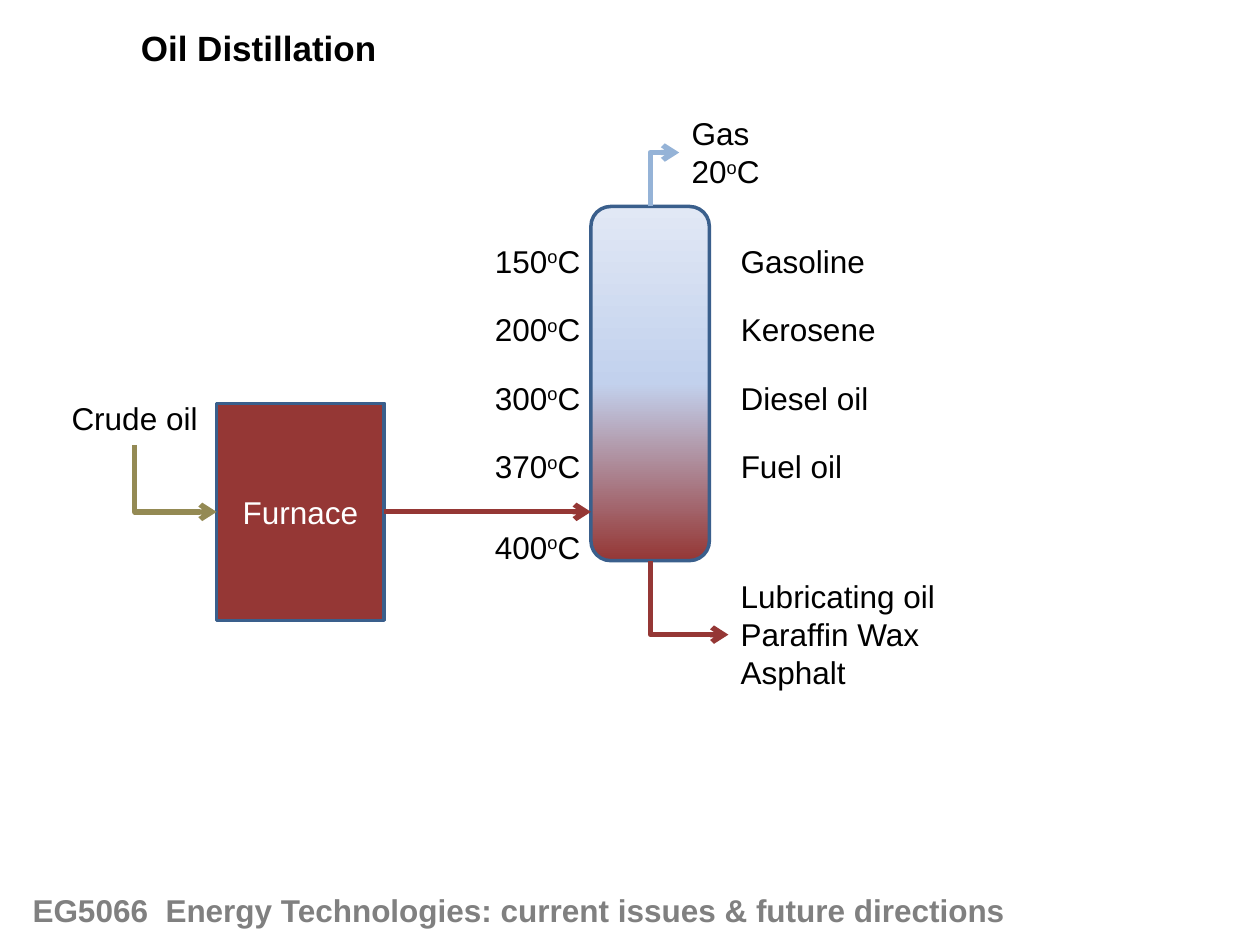
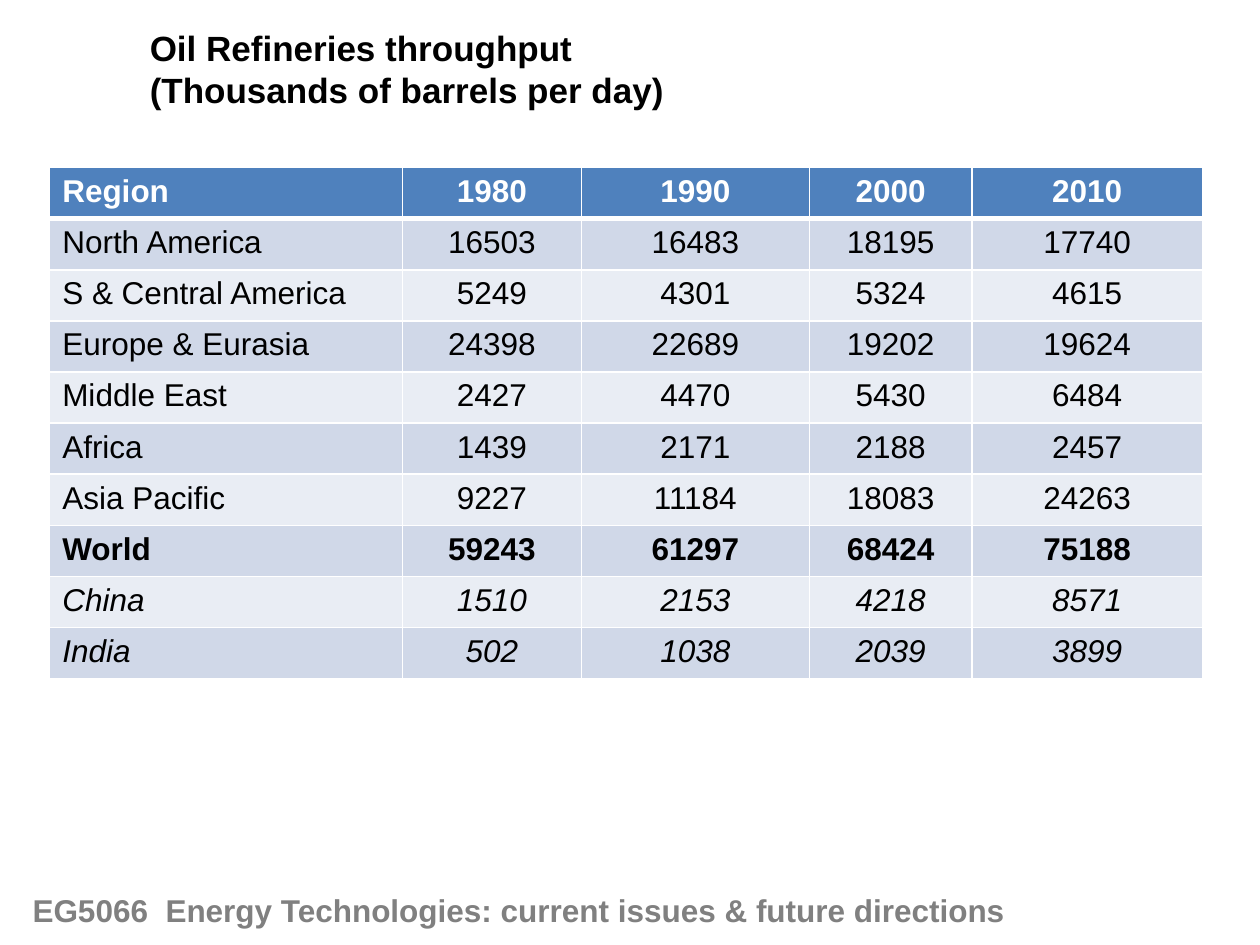
from collections import namedtuple
from copy import deepcopy

from lxml.etree import SubElement
from pptx import Presentation
from pptx.dml.color import RGBColor
from pptx.enum.shapes import MSO_CONNECTOR as Link, MSO_SHAPE as Preset
from pptx.enum.text import MSO_ANCHOR as Anchor, MSO_AUTO_SIZE as AutoSize, PP_ALIGN as Align
from pptx.oxml.ns import qn
from pptx.util import Pt

BLACK = RGBColor(0x00, 0x00, 0x00)
WHITE = RGBColor(0xFF, 0xFF, 0xFF)
GREY = RGBColor(0x80, 0x80, 0x80)
HOT = RGBColor(0x95, 0x37, 0x35)
WARM = RGBColor(0xC2, 0xD1, 0xED)
COOL = RGBColor(0xE1, 0xE8, 0xF5)
OUTLINE = RGBColor(0x3A, 0x5F, 0x8C)
CRUDE = RGBColor(0x94, 0x8A, 0x54)
GAS = RGBColor(0x95, 0xB3, 0xD7)
HEADER = RGBColor(0x4F, 0x81, 0xBD)
BANDS = (RGBColor(0xD0, 0xD8, 0xE8), RGBColor(0xE9, 0xED, 0xF4))

FONT = "Arial"
BODY, TITLE = 18, 20
LABEL_HEIGHT = 29
FOOTER = "EG5066  Energy Technologies: current issues & future directions"

Box = namedtuple("Box", "left top width height")

FRACTIONS = [("150^o^C", "Gasoline", 86.4), ("200^o^C", "Kerosene", 92.2),
             ("300^o^C", "Diesel oil", 88.6), ("370^o^C", "Fuel oil", 73.4)]

YEARS = ("1980", "1990", "2000", "2010")
THROUGHPUT = [
    ("North America", 16503, 16483, 18195, 17740),
    ("S & Central America", 5249, 4301, 5324, 4615),
    ("Europe & Eurasia", 24398, 22689, 19202, 19624),
    ("Middle East", 2427, 4470, 5430, 6484),
    ("Africa", 1439, 2171, 2188, 2457),
    ("Asia Pacific", 9227, 11184, 18083, 24263),
    ("World", 59243, 61297, 68424, 75188),
    ("China", 1510, 2153, 4218, 8571),
    ("India", 502, 1038, 2039, 3899),
]
COLUMN_WIDTHS = (201.6, 102.2, 130.3, 92.9, 131.8)


def points(*lengths):
    return [Pt(length) for length in lengths]


def write(frame, text, size=BODY, color=BLACK, bold=False, italic=False, align=None):
    """Fill a frame, one paragraph a line; text between carets is raised."""
    for index, line in enumerate(text.split("\n")):
        para = frame.add_paragraph() if index else frame.paragraphs[0]
        para.alignment = align
        for part, piece in enumerate(line.split("^")):
            span = para.add_run()
            span.text = piece
            font = span.font
            font.name, font.size, font.bold, font.italic = FONT, Pt(size), bold, italic
            font.color.rgb = color
            if part % 2:
                font._element.set("baseline", "30000")


def label(page, box, text, wrap=False, **style):
    frame = page.shapes.add_textbox(*points(*box)).text_frame
    frame.word_wrap = wrap
    frame.auto_size = AutoSize.SHAPE_TO_FIT_TEXT
    write(frame, text, **style)


def vessel(page, preset, box):
    shape = page.shapes.add_shape(preset, *points(*box))
    shape.shadow.inherit = False
    shape.line.color.rgb = OUTLINE
    shape.line.width = Pt(2)
    return shape


def arrow(page, kind, start, end, color):
    pipe = page.shapes.add_connector(kind, *points(*start, *end))
    pipe.line.color.rgb = color
    pipe.line.width = Pt(3)
    SubElement(pipe.line._get_or_add_ln(), qn("a:tailEnd"), type="arrow")
    SubElement(pipe._element.spPr, qn("a:effectLst"))
    return pipe


def bent_arrow(page, start, end, color):
    """Run vertically from start, then turn right to end."""
    across, rise = end[0] - start[0], end[1] - start[1]
    middle_x, middle_y = start[0] + across / 2, start[1] + rise / 2
    long_half, short_half = abs(rise) / 2, across / 2
    pipe = arrow(page, Link.ELBOW,
                 (middle_x - long_half, middle_y - short_half),
                 (middle_x + long_half, middle_y + short_half), color)
    properties = pipe._element.spPr
    properties.find(qn("a:prstGeom")).set("prst", "bentConnector2")
    transform = properties.find(qn("a:xfrm"))
    transform.set("rot", str((270 if rise > 0 else 90) * 60000))
    transform.set("flipH", "1")
    if rise < 0:
        transform.set("flipV", "1")


def furnace(page, box):
    shape = vessel(page, Preset.RECTANGLE, box)
    shape.fill.solid()
    shape.fill.fore_color.rgb = HOT
    shape.text_frame.vertical_anchor = Anchor.MIDDLE
    write(shape.text_frame, "Furnace", color=WHITE, align=Align.CENTER)
    label(page, Box(box.left - 90, box.top - 6, 87.1, LABEL_HEIGHT), "Crude oil")
    bent_arrow(page, (box.left - 46.8, box.top + 23.7),
               (box.left, box.top + box.height / 2), CRUDE)


def distillation_column(page, box):
    shape = vessel(page, Preset.ROUNDED_RECTANGLE, box)
    fill = shape.fill
    fill.gradient()
    fill.gradient_angle = 90
    first = shape._element.spPr.find(".//" + qn("a:gs"))
    first.addnext(deepcopy(first))
    for stop, position, color in zip(fill.gradient_stops, (0, 0.5, 1), (HOT, WARM, COOL)):
        stop.position = position
        stop.color.rgb = color

    temperature_left = box.left - 62
    product_left = box.left + box.width + 10.8
    for row, (temperature, product, width) in enumerate(FRACTIONS):
        top = box.top + 16.6 + row * 39.1
        label(page, Box(temperature_left, top, 64.8, LABEL_HEIGHT), temperature)
        label(page, Box(product_left, top, width, LABEL_HEIGHT), product)
    label(page, Box(temperature_left, box.top + 180, 64.8, LABEL_HEIGHT), "400^o^C")

    center, bottom = box.left + box.width / 2, box.top + box.height
    label(page, Box(center + 16.6, box.top - 56.2, 54.7, 51), "Gas\n20^o^C")
    bent_arrow(page, (center, box.top), (center + 16.6, box.top - 30.8), GAS)
    label(page, Box(product_left, bottom + 6, 126.7, 72.7),
          "Lubricating oil\nParaffin Wax\nAsphalt")
    bent_arrow(page, (center, bottom), (product_left, bottom + 42.3), HOT)


def border_cell(cell, bottom):
    properties = cell._tc.get_or_add_tcPr()
    for side, width in (("L", 1), ("R", 1), ("T", 1), ("B", bottom)):
        edge = SubElement(properties, qn("a:ln" + side), w=str(Pt(width)))
        paint = SubElement(edge, qn("a:solidFill"))
        SubElement(paint, qn("a:srgbClr"), val=str(WHITE))


def throughput_table(page, box):
    rows = [("Region", *YEARS), *THROUGHPUT]
    table = page.shapes.add_table(len(rows), len(COLUMN_WIDTHS), *points(*box)).table
    for column, width in zip(table.columns, COLUMN_WIDTHS):
        column.width = Pt(width)
    for row, values in enumerate(rows):
        table.rows[row].height = Pt(box.height / len(rows))
        header = row == 0
        for column, value in enumerate(values):
            cell = table.cell(row, column)
            border_cell(cell, 3 if header else 1)
            cell.fill.solid()
            cell.fill.fore_color.rgb = HEADER if header else BANDS[(row - 1) % 2]
            write(cell.text_frame, str(value), color=WHITE if header else BLACK,
                  bold=header or values[0] == "World",
                  italic=values[0] in ("China", "India"),
                  align=Align.CENTER if column else Align.LEFT)


def titled_page(deck, title, box):
    page = deck.slides.add_slide(deck.slide_layouts[6])
    label(page, box, title, size=TITLE, bold=True)
    label(page, Box(11.5, 505.5, 618.5, LABEL_HEIGHT), FOOTER,
          wrap=True, color=GREY, bold=True)
    return page


def distillation_page(deck):
    page = titled_page(deck, "Oil Distillation", Box(73.4, 11.5, 149.8, 31.7))
    furnace_box = Box(123.8, 230.5, 95.8, 124)
    column_box = Box(337.7, 118, 67.7, 202.4)
    furnace(page, furnace_box)
    distillation_column(page, column_box)
    feed_y = furnace_box.top + furnace_box.height / 2
    arrow(page, Link.STRAIGHT, (furnace_box.left + furnace_box.width, feed_y),
          (column_box.left, feed_y), HOT)


def throughput_page(deck):
    page = titled_page(deck, "Oil Refineries throughput\n(Thousands of barrels per day)",
                       Box(78.5, 11.5, 310.3, 55.4))
    throughput_table(page, Box(28.4, 95.8, sum(COLUMN_WIDTHS), 292))


def main():
    deck = Presentation()
    deck.slide_width, deck.slide_height = points(720, 540)
    distillation_page(deck)
    throughput_page(deck)
    deck.save("out.pptx")


if __name__ == "__main__":
    main()
